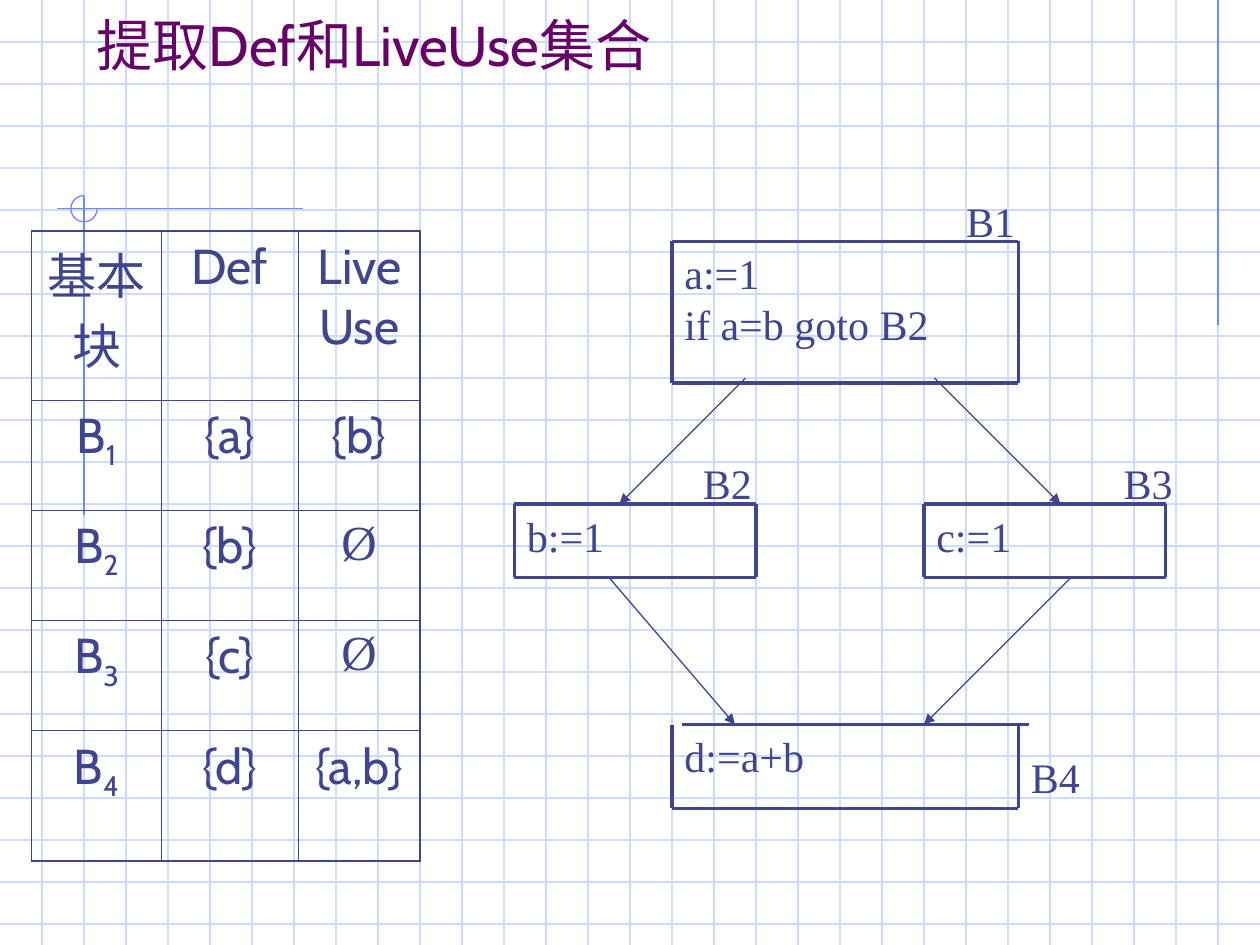
from lxml.etree import SubElement
from pptx import Presentation
from pptx.dml.color import RGBColor
from pptx.enum.shapes import MSO_CONNECTOR, MSO_SHAPE
from pptx.enum.text import MSO_ANCHOR, MSO_AUTO_SIZE, PP_ALIGN
from pptx.oxml import parse_xml
from pptx.oxml.ns import nsdecls, qn
from pptx.util import Pt

WIDTH, HEIGHT, GRID = 720, 540, 24


class Theme:
    ink, title, accent, grid = "40458C", "660066", "6F89F7", "CFDBFD"
    sans, serif = "Cabin", "Times New Roman"
    title_size, table_size, code_size = 32, 28, 24
    thin, thick = 0.75, 2.25
    inner, outer = 0.45, 1.08


TITLE = "提取Def和LiveUse集合"
HEADER = ["基本块", "Def", "LiveUse"]
SETS = [("1", "{a}", "{b}"), ("2", "{b}", "Ø"),
        ("3", "{c}", "Ø"), ("4", "{d}", "{a,b}")]
TABLE_AT = (18, 132)
COLUMNS = [74.25, 78.25, 69.5]
ROWS = [96.5, 63, 63, 63, 74.5]

# code lines, (left, top, width, height), shift of the top edge
BLOCKS = [
    (["a:=1", "if a=b goto B2"], (384, 138, 198, 81), 0),
    (["b:=1"], (294, 288, 138, 42), 0),
    (["c:=1"], (528, 288, 138, 42), 0),
    (["d:=a+b"], (384, 414, 198, 48), 6),
]
LABELS = [("B1", 545, 108), ("B2", 394.5, 258),
          ("B3", 635, 258), ("B4", 582, 426)]
ARROWS = [(426, 216, 354, 288), (534, 216, 606, 288),
          (348, 330, 420, 414), (612, 330, 528, 414)]
RULES = [(696, 0, 696, 186), (173, 119.25, 32.5, 119.25),
         (48, 111.75, 48, 294.5)]
ARC = (40.5, 111.75, 15, 15)


def pts(values):
    return [Pt(v) for v in values]


def add_line(s, ends, color, width, arrow=False):
    line = s.shapes.add_connector(MSO_CONNECTOR.STRAIGHT, *pts(ends))
    line.line.color.rgb = RGBColor.from_string(color)
    line.line.width = Pt(width)
    sp_pr = line.element.spPr
    if arrow:
        SubElement(sp_pr.find(qn("a:ln")), qn("a:tailEnd"), type="triangle")
    SubElement(sp_pr, qn("a:effectLst"))


def add_run(p, text, font, size, color=Theme.ink):
    r = p.add_run()
    r.text = text
    r.font.name, r.font.size = font, Pt(size)
    r.font.color.rgb = RGBColor.from_string(color)
    return r


def add_text(s, lines, box):
    tf = s.shapes.add_textbox(*pts(box)).text_frame
    tf.word_wrap = True
    for i, text in enumerate(lines):
        p = tf.add_paragraph() if i else tf.paragraphs[0]
        add_run(p, text, Theme.serif, Theme.code_size)


def add_backdrop(s):
    for y in range(GRID, HEIGHT, GRID):
        add_line(s, (0, y, WIDTH, y), Theme.grid, Theme.thin)
    for x in range(GRID, WIDTH, GRID):
        add_line(s, (x, 0, x, HEIGHT), Theme.grid, Theme.thin)
    for ends in RULES:
        add_line(s, ends, Theme.accent, Theme.thin)
    arc = s.shapes.add_shape(MSO_SHAPE.ARC, *pts(ARC))
    arc.adjustments[0], arc.adjustments[1] = 0, 162  # right, round to the top
    arc.shadow.inherit = False
    arc.fill.background()
    arc.line.color.rgb = RGBColor.from_string(Theme.accent)
    arc.line.width = Pt(Theme.thin)


def add_title(s):
    title = s.shapes.title
    title.element.getparent().append(title.element)  # in front of the grid
    title.left, title.top, title.width, title.height = pts((48, 24, 612, 24))
    tf = title.text_frame
    tf.auto_size, tf.vertical_anchor = MSO_AUTO_SIZE.NONE, MSO_ANCHOR.BOTTOM
    p = tf.paragraphs[0]
    p.alignment = PP_ALIGN.LEFT
    add_run(p, TITLE, Theme.sans, Theme.title_size, Theme.title)


def set_borders(cell, row, col):
    at_edge = {"L": col == 0, "R": col == len(COLUMNS) - 1,
               "T": row == 0, "B": row == len(ROWS) - 1}
    tc_pr = cell._tc.get_or_add_tcPr()
    for i, (side, outer) in enumerate(at_edge.items()):
        width = Pt(Theme.outer if outer else Theme.inner)
        tc_pr.insert(i, parse_xml(
            f'<a:ln{side} {nsdecls("a")} w="{width}"><a:solidFill>'
            f'<a:srgbClr val="{Theme.ink}"/></a:solidFill></a:ln{side}>'))


def add_table(s):
    size = (sum(COLUMNS), sum(ROWS))
    table = s.shapes.add_table(len(ROWS), len(COLUMNS),
                               *pts(TABLE_AT + size)).table
    table.first_row = table.horz_banding = False
    for column, width in zip(table.columns, COLUMNS):
        column.width = Pt(width)
    for row, height in zip(table.rows, ROWS):
        row.height = Pt(height)
    for i, values in enumerate([HEADER, *SETS]):
        for j, text in enumerate(values):
            cell = table.cell(i, j)
            cell.fill.background()
            set_borders(cell, i, j)
            p = cell.text_frame.paragraphs[0]
            p.alignment, p.space_before = PP_ALIGN.CENTER, Pt(7)
            font = Theme.serif if text == "Ø" else Theme.sans
            is_block_name = i > 0 and j == 0
            if is_block_name:
                add_run(p, "B", font, Theme.table_size)
            r = add_run(p, text, font, Theme.table_size)
            if is_block_name:
                r._r.get_or_add_rPr().set("baseline", "-25000")


def add_flow_graph(s):
    for lines, box, shift in BLOCKS:
        add_text(s, lines, box)
        x, y, w, h = box
        right, bottom = x + w, y + h
        for ends in [(x + shift, y, right + shift, y), (x, bottom, right, bottom),
                     (x, y, x, bottom), (right, y, right, bottom)]:
            add_line(s, ends, Theme.ink, Theme.thick)
    for text, x, y in LABELS:
        add_text(s, [text], (x, y, 43, 36))
    for ends in ARROWS:
        add_line(s, ends, Theme.ink, Theme.thin, arrow=True)


def main():
    prs = Presentation()
    prs.slide_width, prs.slide_height = Pt(WIDTH), Pt(HEIGHT)
    s = prs.slides.add_slide(prs.slide_layouts[5])
    add_backdrop(s)
    add_title(s)
    add_table(s)
    add_flow_graph(s)
    prs.save("out.pptx")


if __name__ == "__main__":
    main()
